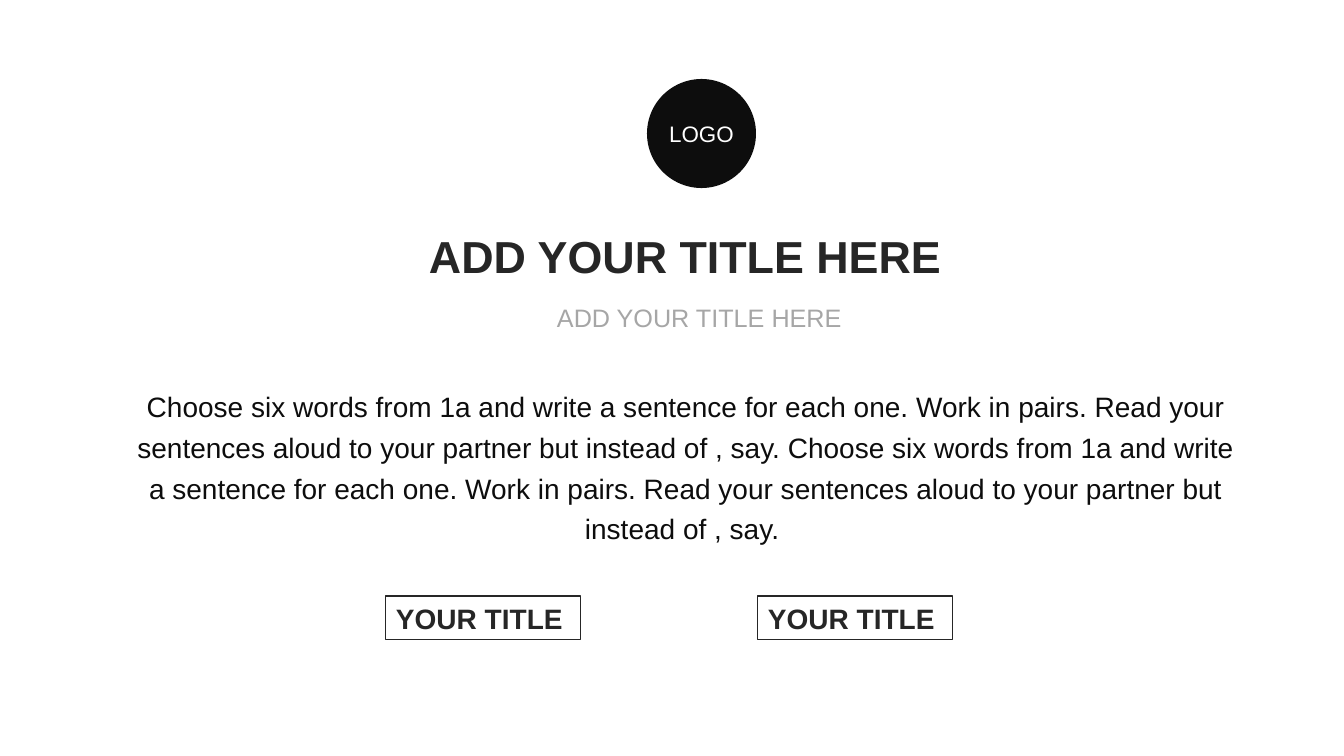
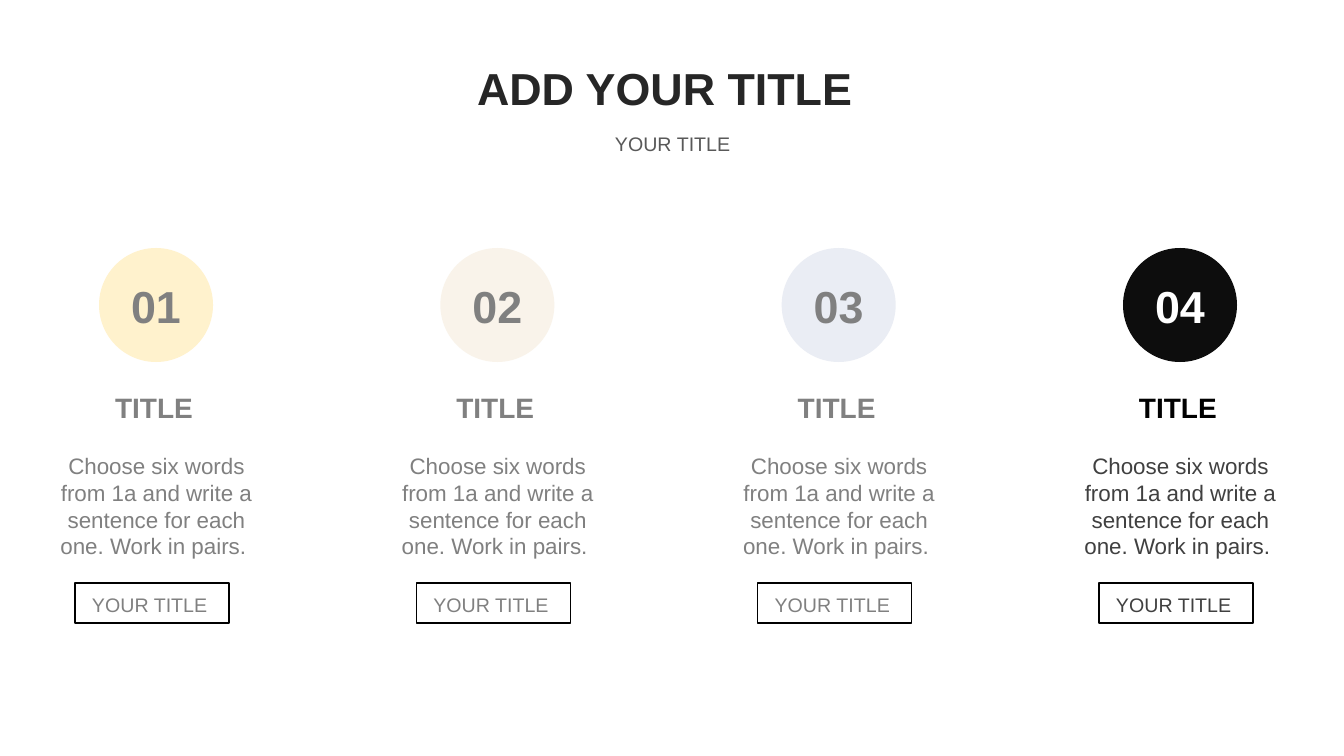
from pptx import Presentation
from pptx import util as u
from pptx.dml.color import RGBColor
from pptx.enum import shapes, text

PAGE_WIDTH, PAGE_HEIGHT = 1344, 756
PX = u.Inches(13.3333) / PAGE_WIDTH
FONT = "Arial"

WHITE = RGBColor(0xFF, 0xFF, 0xFF)
BLACK = RGBColor(0x00, 0x00, 0x00)
INK = RGBColor(0x0D, 0x0D, 0x0D)
HEADING = RGBColor(0x26, 0x26, 0x26)
DARK_GREY = RGBColor(0x40, 0x40, 0x40)
MID_GREY = RGBColor(0x59, 0x59, 0x59)
GREY = RGBColor(0x80, 0x80, 0x80)
LIGHT_GREY = RGBColor(0xA6, 0xA6, 0xA6)
YELLOW = RGBColor(0xFF, 0xF2, 0xCD)
CREAM = RGBColor(0xF9, 0xF3, 0xEA)
PALE_BLUE = RGBColor(0xEA, 0xED, 0xF4)

LEFT, CENTER = text.PP_ALIGN.LEFT, text.PP_ALIGN.CENTER
TOP, MIDDLE = text.MSO_ANCHOR.TOP, text.MSO_ANCHOR.MIDDLE

SENTENCE = "Choose six words from 1a and write a sentence for each one. Work in pairs. "
INTRO = SENTENCE + "Read your sentences aloud to your partner but instead of , say. "


def px(length):
    return u.Emu(round(length * PX))


def write(shape, words, size, color, bold=False, align=LEFT, anchor=TOP,
          wrap=True, spacing=None, insets=(10, 5, 10, 5)):
    """Fill a shape with one paragraph; insets are left, top, right, bottom."""
    frame = shape.text_frame
    frame.word_wrap = wrap
    frame.vertical_anchor = anchor
    (frame.margin_left, frame.margin_top,
     frame.margin_right, frame.margin_bottom) = map(px, insets)
    para = frame.paragraphs[0]
    para.alignment = align
    if spacing:
        para.line_spacing = u.Pt(spacing)
    span = para.add_run()
    span.text = words
    span.font.name = FONT
    span.font.size = u.Pt(size)
    span.font.bold = bold
    span.font.color.rgb = color


def add_text(page, box, words, size, color, **style):
    write(page.shapes.add_textbox(*map(px, box)), words, size, color, **style)


def add_circle(page, left, top, size, fill, words, font_size, color, bold=False):
    circle = page.shapes.add_shape(shapes.MSO_SHAPE.OVAL, *map(px, (left, top, size, size)))
    circle.shadow.inherit = False
    circle.fill.solid()
    circle.fill.fore_color.rgb = fill
    circle.line.fill.background()
    write(circle, words, font_size, color, bold=bold, align=CENTER,
          anchor=MIDDLE, wrap=False, insets=(0, 1, 0, 0))


def add_button(page, box, line, line_width, size, color, **style):
    button = page.shapes.add_shape(shapes.MSO_SHAPE.RECTANGLE, *map(px, box))
    button.shadow.inherit = False
    button.fill.background()
    button.line.color.rgb = line
    button.line.width = u.Pt(line_width)
    write(button, "YOUR TITLE", size, color, anchor=MIDDLE, **style)


def add_heading(page, box, words):
    add_text(page, box, words, 32, HEADING, bold=True)


def add_step(page, left, top, number, fill, number_color, title_color, body_color):
    """One numbered column: circle, title, sentence and button."""
    add_circle(page, left + 52, top, 114, fill, number, 32, number_color, bold=True)
    add_text(page, (left + 58, top + 137, 104, 44), "TITLE", 20, title_color, bold=True)
    add_text(page, (left, top + 199, 219, 119), SENTENCE, 16, body_color, align=CENTER)
    add_button(page, (left + 28, top + 335, 154, 40), BLACK, 1, 14, body_color,
               insets=(17, 4, 0, 0))


def build_intro(page):
    add_circle(page, 647, 79, 109, INK, "LOGO", 16, WHITE)
    add_heading(page, (419, 224, 533, 65), "ADD YOUR TITLE HERE")
    add_text(page, (547, 297, 308, 40), "ADD YOUR TITLE HERE", 18, LIGHT_GREY)
    add_text(page, (124, 378, 1124, 215), INTRO * 2, 20, INK, align=CENTER, spacing=29)
    for left in (386, 758):
        add_button(page, (left, 596, 195, 44), HEADING, 0.75, 20, HEADING, bold=True)


def build_steps(page):
    add_heading(page, (467, 56, 418, 65), "ADD YOUR TITLE")
    add_text(page, (605, 127, 142, 34), "YOUR TITLE", 14, MID_GREY, wrap=False)
    muted = (GREY, GREY, GREY)
    steps = [(YELLOW, *muted), (CREAM, *muted), (PALE_BLUE, *muted),
             (INK, WHITE, BLACK, DARK_GREY)]
    first, last = 47, 1071
    pitch = (last - first) / (len(steps) - 1)
    for index, colors in enumerate(steps):
        add_step(page, first + index * pitch, 248, f"{index + 1:02}", *colors)


def main():
    deck = Presentation()
    deck.slide_width, deck.slide_height = px(PAGE_WIDTH), px(PAGE_HEIGHT)
    for build in (build_intro, build_steps):
        build(deck.slides.add_slide(deck.slide_layouts[6]))
    deck.save("out.pptx")


if __name__ == "__main__":
    main()
